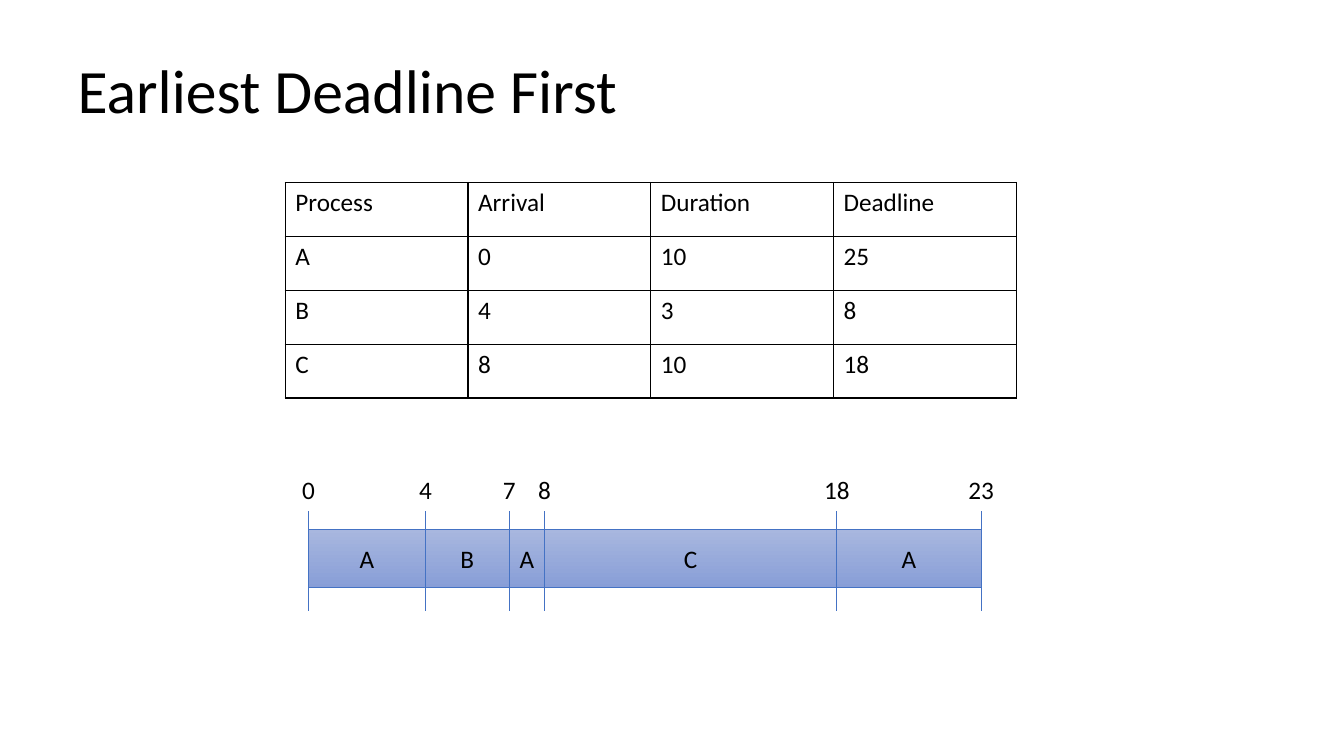
from lxml import etree
from pptx import Presentation
from pptx.dml.color import RGBColor
from pptx.enum.shapes import MSO_CONNECTOR, MSO_SHAPE
from pptx.enum.text import MSO_ANCHOR, MSO_AUTO_SIZE, PP_ALIGN
from pptx.oxml.ns import qn
from pptx.util import Inches, Pt

RECTANGLE = MSO_SHAPE.RECTANGLE
STRAIGHT = MSO_CONNECTOR.STRAIGHT
MIDDLE = MSO_ANCHOR.MIDDLE
LEFT, CENTER = PP_ALIGN.LEFT, PP_ALIGN.CENTER
NO_FIT, GROW = MSO_AUTO_SIZE.NONE, MSO_AUTO_SIZE.SHAPE_TO_FIT_TEXT

COLORS = {
    "text": "000000",
    "border": "000000",
    "line": "4472C4",
    "bar_top": "A8B7DF",
    "bar_bottom": "889ED7",
}

PROCESSES = [
    ("Process", "Arrival", "Duration", "Deadline"),
    ("A", "0", "10", "25"),
    ("B", "4", "3", "8"),
    ("C", "8", "10", "18"),
]
# Time of each switch and its place across the slide, in inches
SWITCHES = [(0, 3.06), (4, 4.22), (7, 5.05), (8, 5.4), (18, 8.3), (23, 9.73)]
SCHEDULE = ["A", "B", "A", "C", "A"]


def rgb(name):
    return RGBColor.from_string(COLORS[name])


class ScheduleSlide:
    font = "Calibri"
    text_size = 18
    title_size = 44
    line_width = 0.5
    border_width = 1

    def __init__(self, slide):
        self.slide = slide
        self.shapes = slide.shapes

    def set_text(self, frame, text, size=None, align=LEFT):
        frame.text = text
        paragraph = frame.paragraphs[0]
        paragraph.alignment = align
        font = paragraph.runs[0].font
        font.name = self.font
        font.size = Pt(size or self.text_size)
        font.bold = False
        font.color.rgb = rgb("text")

    def title(self, text, left, top, width, height):
        heading = self.shapes.title
        heading.left, heading.top = Inches(left), Inches(top)
        heading.width, heading.height = Inches(width), Inches(height)
        frame = heading.text_frame
        self.set_text(frame, text, self.title_size)
        frame.vertical_anchor = MIDDLE
        frame.auto_size = NO_FIT
        frame.paragraphs[0].line_spacing = 0.9

    def border(self, cell):
        properties = cell._tc.get_or_add_tcPr()
        for side in ("lnL", "lnR", "lnT", "lnB"):
            edge = etree.SubElement(properties, qn(f"a:{side}"), w=str(Pt(self.border_width)))
            fill = etree.SubElement(edge, qn("a:solidFill"))
            etree.SubElement(fill, qn("a:srgbClr"), val=COLORS["border"])

    def table(self, rows, left, top, width, height):
        table = self.shapes.add_table(
            len(rows), len(rows[0]), Inches(left), Inches(top), Inches(width), Inches(height)
        ).table
        table.first_row = table.horz_banding = False
        for row, values in enumerate(rows):
            for column, value in enumerate(values):
                cell = table.cell(row, column)
                self.set_text(cell.text_frame, value)
                self.border(cell)
                cell.fill.background()

    def bar(self, process, start, end, top=5.25, height=0.58):
        bar = self.shapes.add_shape(
            RECTANGLE, Inches(start), Inches(top), Inches(end - start), Inches(height)
        )
        bar.shadow.inherit = False
        bar.fill.gradient()
        bar.fill.gradient_angle = 270
        for stop, color in zip(bar.fill.gradient_stops, ("bar_top", "bar_bottom")):
            stop.color.rgb = rgb(color)
        bar.line.color.rgb = rgb("line")
        bar.line.width = Pt(self.line_width)
        self.set_text(bar.text_frame, process, align=CENTER)
        bar.text_frame.vertical_anchor = MIDDLE
        bar.text_frame.word_wrap = False

    def tick(self, x, top=5.07, bottom=6.06):
        tick = self.shapes.add_connector(
            STRAIGHT, Inches(x), Inches(top), Inches(x), Inches(bottom)
        )
        tick.line.color.rgb = rgb("line")
        tick.line.width = Pt(self.line_width)
        etree.SubElement(tick._element.spPr, qn("a:effectLst"))

    def time_label(self, time, x, top=4.66, width=0.58, height=0.41):
        label = self.shapes.add_textbox(
            Inches(x - width / 2), Inches(top), Inches(width), Inches(height)
        )
        self.set_text(label.text_frame, str(time), align=CENTER)
        label.text_frame.word_wrap = True
        label.text_frame.auto_size = GROW


def main():
    deck = Presentation()
    deck.slide_width, deck.slide_height = Inches(13.33), Inches(7.5)
    page = ScheduleSlide(deck.slides.add_slide(deck.slide_layouts[5]))

    page.title("Earliest Deadline First", 0.67, 0.3, 10, 1.25)
    page.table(PROCESSES, 2.83, 1.81, 7.25, 2.14)
    for process, (_, start), (_, end) in zip(SCHEDULE, SWITCHES, SWITCHES[1:]):
        page.bar(process, start, end)
    for time, x in SWITCHES:
        page.tick(x)
        page.time_label(time, x)

    deck.save("out.pptx")


if __name__ == "__main__":
    main()
